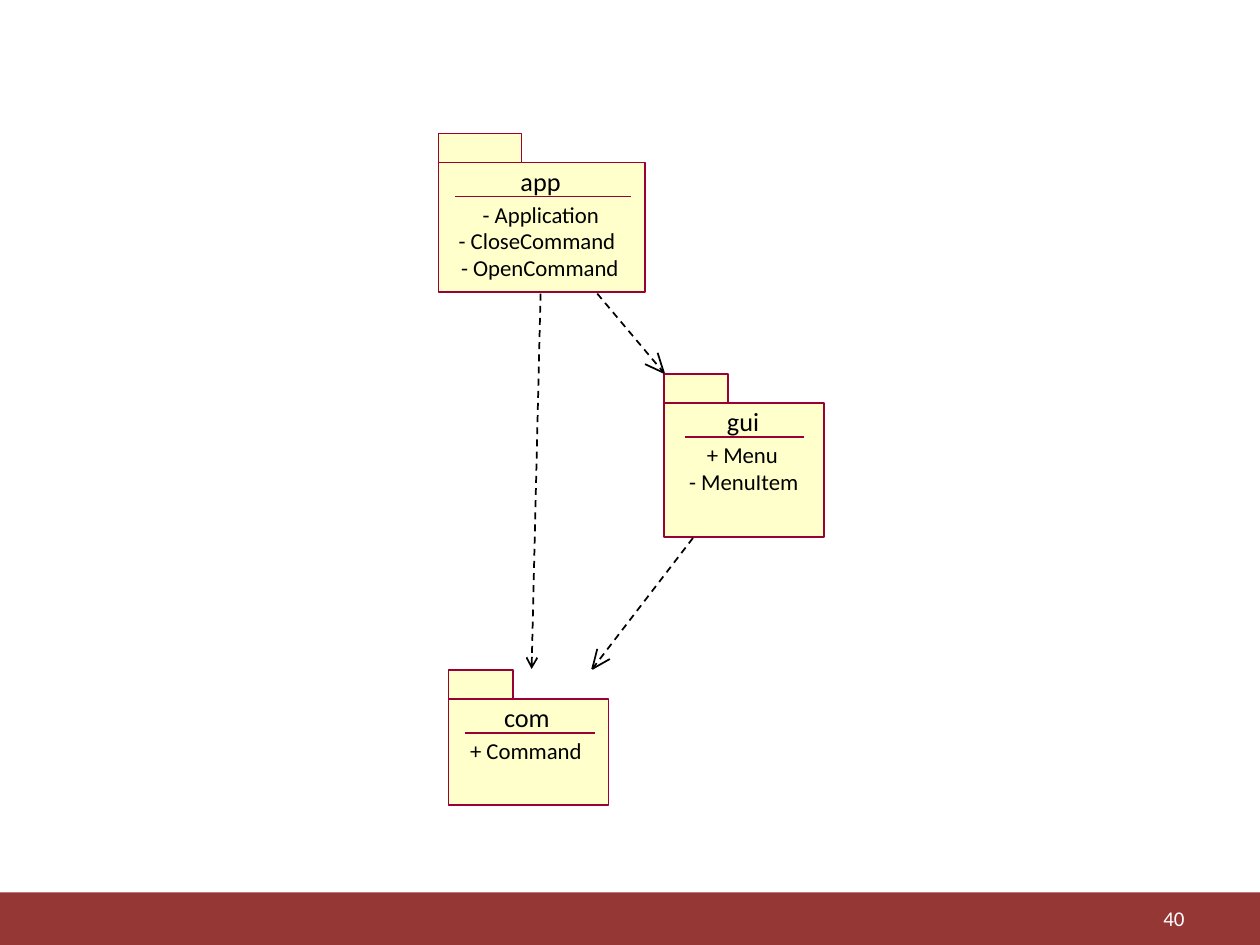
from dataclasses import dataclass

from lxml.etree import SubElement
from pptx import Presentation
from pptx.dml.color import RGBColor
from pptx.enum.dml import MSO_LINE
from pptx.enum.shapes import MSO_CONNECTOR, MSO_SHAPE
from pptx.enum.text import MSO_ANCHOR, MSO_AUTO_SIZE, PP_ALIGN
from pptx.oxml.ns import qn
from pptx.util import Pt


@dataclass(frozen=True)
class Theme:
    font: str = "Calibri"
    footer: RGBColor = RGBColor(0x95, 0x37, 0x35)
    package_fill: RGBColor = RGBColor(0xFF, 0xFF, 0xCC)
    package_line: RGBColor = RGBColor(0x99, 0x00, 0x33)
    ink: RGBColor = RGBColor(0, 0, 0)
    paper: RGBColor = RGBColor(255, 255, 255)
    name_size: int = 15
    member_size: int = 13
    number_size: int = 12
    line_width: int = 1


@dataclass(frozen=True)
class Package:
    left: float
    top: float
    width: float
    height: float
    tab_width: float
    name: tuple
    rule: tuple
    members: tuple


THEME = Theme()
TAB_HEIGHT = 16.6
NAME_OFFSET = 1.4
RULE_OFFSET = 19.4
MEMBER_OFFSET = 21.6
MEMBER_PITCH = 15.1

PACKAGES = (
    Package(250.6, 92.9, 118.1, 74.2, 47.5, ("app", 297.4, 25.2), (259.9, 360.7),
            (("- Application", 275.8, 71.3),
             ("- CloseCommand", 262.1, 101.5),
             ("- OpenCommand", 263.5, 100.1))),
    Package(379.4, 230.4, 91.4, 76.3, 36.7, ("gui", 415.4, 20.2), (391.7, 459.4),
            (("+ Menu", 403.9, 43.9), ("- MenuItem", 393.8, 66.2))),
    Package(256.3, 399.6, 91.4, 60.5, 36.7, ("com", 288, 28.1), (265.7, 339.8),
            (("+ Command", 268.6, 71.3),)),
)

OPEN_ARROWS = (
    ((396, 307.4), (338.4, 382.3), ((348.5, 376.6), (341.3, 370.8))),
    ((341.3, 167.8), (379.4, 213.1), ((375.8, 201.6), (368.6, 208.1))),
)


def add_rectangle(slide, left, top, width, height, fill, outline=None):
    box = slide.shapes.add_shape(
        MSO_SHAPE.RECTANGLE, Pt(left), Pt(top), Pt(width), Pt(height))
    box.shadow.inherit = False
    box.fill.solid()
    box.fill.fore_color.rgb = fill
    if outline is None:
        box.line.fill.background()
    else:
        box.line.color.rgb = outline
        box.line.width = Pt(THEME.line_width)


def add_line(slide, start, end, color, dashed=False, arrow=False):
    line = slide.shapes.add_connector(
        MSO_CONNECTOR.STRAIGHT, *(Pt(value) for value in (*start, *end)))
    line.line.color.rgb = color
    line.line.width = Pt(THEME.line_width)
    if dashed:
        line.line.dash_style = MSO_LINE.DASH
    properties = line.element.spPr
    if arrow:
        SubElement(properties.find(qn("a:ln")), qn("a:tailEnd"), type="arrow")
    SubElement(properties, qn("a:effectLst"))


def add_text(slide, text, left, top, width, height, size, color):
    box = slide.shapes.add_textbox(Pt(left), Pt(top), Pt(width), Pt(height))
    para = box.text_frame.paragraphs[0]
    para.text = text
    para.font.name = THEME.font
    para.font.size = Pt(size)
    para.font.color.rgb = color
    return box.text_frame


def add_label(slide, text, left, top, width, height, size):
    frame = add_text(slide, text, left, top, width, height, size, THEME.ink)
    frame.margin_left = frame.margin_right = 0
    frame.margin_top = frame.margin_bottom = 0
    frame.word_wrap = False
    frame.auto_size = MSO_AUTO_SIZE.SHAPE_TO_FIT_TEXT


def add_package(slide, package):
    left, top = package.left, package.top
    add_rectangle(slide, left, top, package.width, package.height,
                  THEME.package_fill, THEME.package_line)
    add_rectangle(slide, left, top - TAB_HEIGHT, package.tab_width, TAB_HEIGHT,
                  THEME.package_fill, THEME.package_line)
    name, name_left, name_width = package.name
    add_label(slide, name, name_left, top + NAME_OFFSET, name_width, 18,
              THEME.name_size)
    rule_start, rule_end = package.rule
    rule_top = top + RULE_OFFSET
    add_line(slide, (rule_start, rule_top), (rule_end, rule_top), THEME.package_line)
    for row, (member, member_left, member_width) in enumerate(package.members):
        add_label(slide, member, member_left,
                  top + MEMBER_OFFSET + row * MEMBER_PITCH,
                  member_width, 15.8, THEME.member_size)


def add_open_arrow(slide, start, tip, barbs):
    add_line(slide, start, tip, THEME.ink, dashed=True)
    for barb in barbs:
        add_line(slide, tip, barb, THEME.ink)


def add_footer(slide, number):
    add_rectangle(slide, 0, 510, 720, 30, THEME.footer)
    frame = add_text(slide, number, 516, 515, 168, 19.4,
                     THEME.number_size, THEME.paper)
    frame.word_wrap = True
    frame.vertical_anchor = MSO_ANCHOR.MIDDLE
    frame.paragraphs[0].alignment = PP_ALIGN.RIGHT


def main():
    deck = Presentation()
    deck.slide_width, deck.slide_height = Pt(720), Pt(540)
    slide = deck.slides.add_slide(deck.slide_layouts[6])
    slide.background.fill.solid()
    slide.background.fill.fore_color.rgb = THEME.paper
    add_footer(slide, "40")
    for package in PACKAGES:
        add_package(slide, package)
    for start, tip, barbs in OPEN_ARROWS:
        add_open_arrow(slide, start, tip, barbs)
    add_line(slide, (308.9, 167.8), (303.8, 382.3), THEME.ink,
             dashed=True, arrow=True)
    deck.save("out.pptx")


if __name__ == "__main__":
    main()
